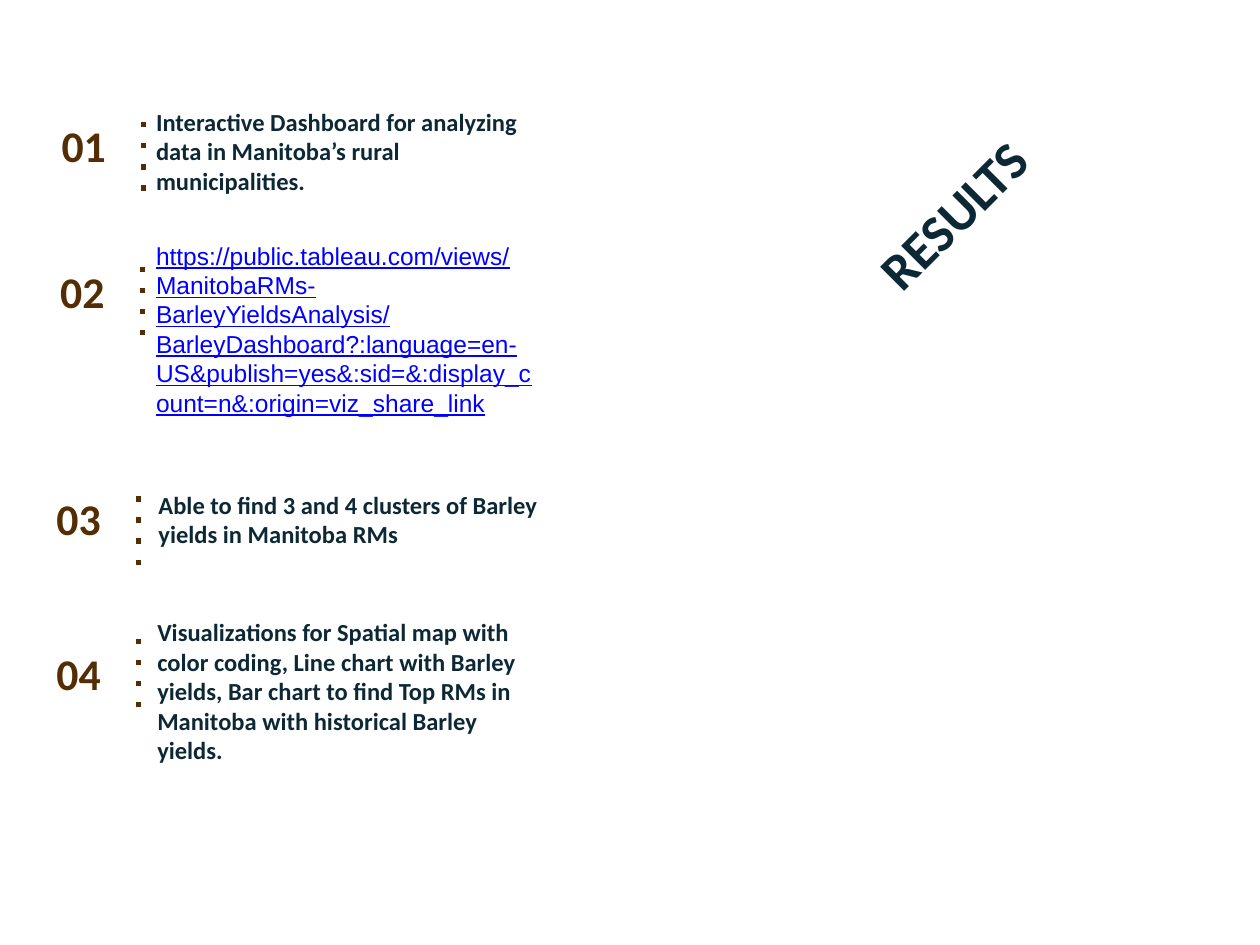
from lxml import etree
from pptx import Presentation
from pptx.dml.color import RGBColor
from pptx.enum.shapes import MSO_CONNECTOR
from pptx.enum.text import PP_ALIGN
from pptx.oxml.ns import qn
from pptx.util import Inches, Pt

STRAIGHT = MSO_CONNECTOR.STRAIGHT
LEFT, CENTER = PP_ALIGN.LEFT, PP_ALIGN.CENTER
NAVY = RGBColor(0x0D, 0x28, 0x35)
BROWN = RGBColor(0x54, 0x2D, 0x04)
LINK_BLUE = RGBColor(0x00, 0x00, 0xFF)

prs = Presentation()
prs.slide_width, prs.slide_height = Inches(10), Inches(7.5)
s = prs.slides.add_slide(prs.slide_layouts[6])


def add_text(box, text, size, color, align=LEFT, link=False):
    sp = s.shapes.add_textbox(*[Inches(v) for v in box])
    tf = sp.text_frame
    tf.word_wrap = True
    if link:
        tf.margin_top = tf.margin_bottom = Inches(0.1)
    p = tf.paragraphs[0]
    p.alignment = align
    r = p.add_run()
    r.text = text
    r.font.name = "Arial" if link else "Calibri"
    r.font.size = Pt(size)
    r.font.bold = not link
    r.font.underline = link
    r.font.color.rgb = color
    return sp


title = add_text((5.81, 1.4, 3.51, 0.61), "RESULTS", 30, NAVY, CENTER)
title.rotation = 315

results = [
    ("01", 0.39, 0.89, 1.14, 0.97, 1.14, 0.8, 0.81,
     "Interactive Dashboard for analyzing data in Manitoba’s rural municipalities."),
    ("02", 0.38, 2.05, 1.13, 2.12, 1.14, 1.81, 1.62,
     "https://public.tableau.com/views/ManitobaRMs-BarleyYieldsAnalysis/"
     "BarleyDashboard?:language=en-US&publish=yes&:sid=&:display_count=n&:origin=viz_share_link"),
    ("03", 0.35, 3.85, 1.1, 3.94, 1.16, 3.84, 0.57,
     "Able to find 3 and 4 clusters of Barley yields in Manitoba RMs"),
    ("04", 0.35, 5.08, 1.1, 5.07, 1.15, 4.85, 1.28,
     "Visualizations for Spatial map with color coding, Line chart with Barley yields, "
     "Bar chart to find Top RMs in Manitoba with historical Barley yields."),
]

for number, num_x, num_y, line_x, line_y, text_x, text_y, text_h, text in results:
    add_text((num_x, num_y, 0.56, 0.52), number, 25, BROWN)

    line = s.shapes.add_connector(STRAIGHT, Inches(line_x), Inches(line_y),
                                  Inches(line_x), Inches(line_y + 0.55))
    line.line.color.rgb = BROWN
    line.line.width = Pt(3)
    spPr = line._element.spPr
    etree.SubElement(spPr.find(qn("a:ln")), qn("a:prstDash"), val="dot")
    etree.SubElement(spPr, qn("a:effectLst"))

    link = text.startswith("https")
    add_text((text_x, text_y, 3.23, text_h), text, 14, LINK_BLUE if link else NAVY, link=link)

prs.save("out.pptx")
